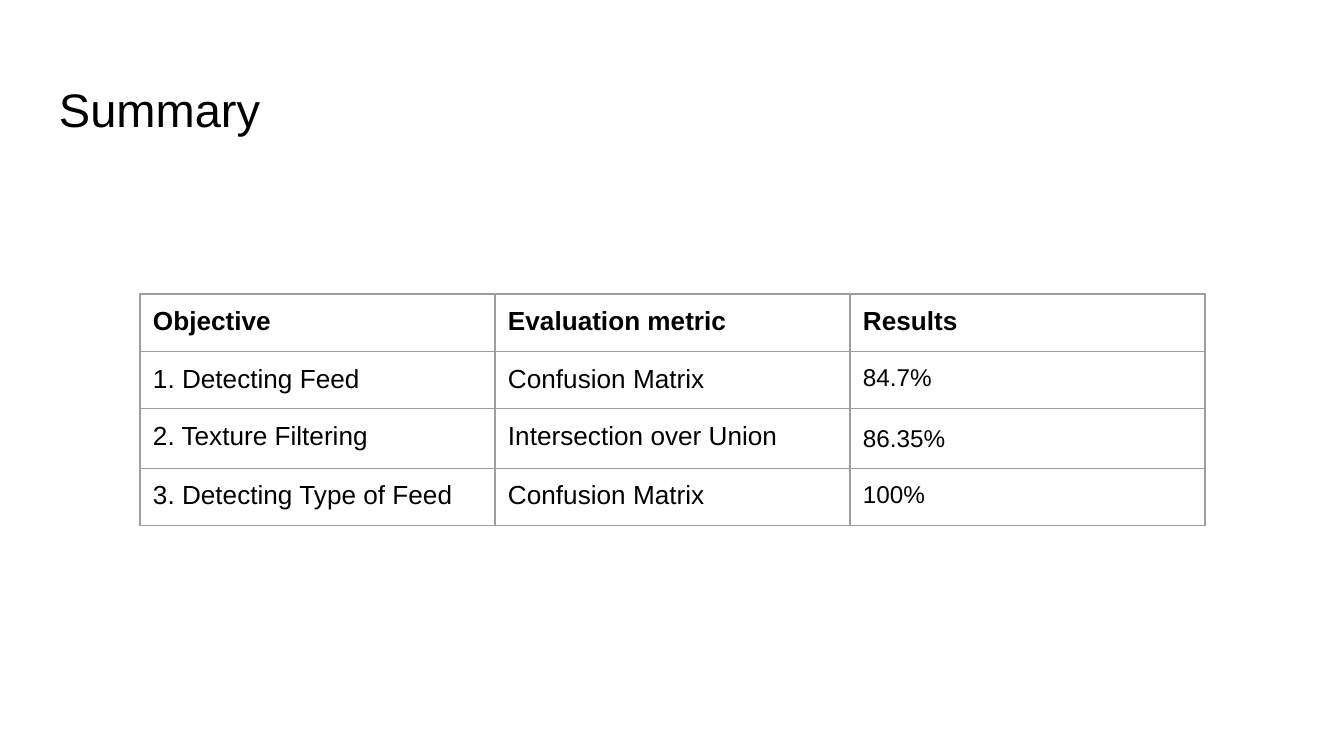
import pptx
import pptx.dml.color
import pptx.enum.text
import pptx.oxml
import pptx.oxml.ns
import pptx.util

EMU_PER_PX = 914400 / 134.4
COLORS = {"background": "FFFFFF", "text": "000000", "border": "9E9E9E"}
PADDING = 13


def px(length):
    return pptx.util.Emu(round(length * EMU_PER_PX))


def style_font(font, size, bold=False):
    font.name = "Arial"
    font.size = pptx.util.Pt(size)
    font.bold = bold
    font.color.rgb = pptx.dml.color.RGBColor.from_string(COLORS["text"])


presentation = pptx.Presentation()
presentation.slide_width = px(1344)
presentation.slide_height = px(756)
slide = presentation.slides.add_slide(presentation.slide_layouts[6])
slide.background.fill.solid()
slide.background.fill.fore_color.rgb = pptx.dml.color.RGBColor.from_string(COLORS["background"])

# Title
title = slide.shapes.add_textbox(px(46), px(66), px(1253), px(85))
frame = title.text_frame
frame.word_wrap = True
frame.vertical_anchor = pptx.enum.text.MSO_ANCHOR.MIDDLE
frame.margin_left = frame.margin_right = px(PADDING)
frame.margin_top = frame.margin_bottom = px(PADDING)
frame.text = "Summary"
style_font(frame.paragraphs[0].font, 25.2)

# Results table
rows = [
    ("Objective", "Evaluation metric", "Results"),
    ("1. Detecting Feed", "Confusion Matrix", "84.7%"),
    ("2. Texture Filtering", "Intersection over Union", "86.35%"),
    ("3. Detecting Type of Feed", "Confusion Matrix", "100%"),
]
row_heights = [56, 56, 58, 56]
table = slide.shapes.add_table(
    len(rows), 3, px(140), px(294), px(3 * 355), px(sum(row_heights))
).table
table.first_row = False
table.horz_banding = False
for column in table.columns:
    column.width = px(355)

for row_index, row in enumerate(rows):
    table.rows[row_index].height = px(row_heights[row_index])
    for column_index, text in enumerate(row):
        cell = table.cell(row_index, column_index)
        cell.margin_left = cell.margin_right = px(PADDING)
        cell.margin_top = cell.margin_bottom = px(PADDING)
        cell.text = text
        is_header = row_index == 0
        is_result = column_index == 2 and not is_header
        style_font(cell.text_frame.paragraphs[0].font, 13 if is_result else 14, is_header)

        # Cell borders come before the fill in the cell properties
        for side in ("lnL", "lnR", "lnT", "lnB"):
            cell._tc.get_or_add_tcPr().append(pptx.oxml.parse_xml(
                f'<a:{side} {pptx.oxml.ns.nsdecls("a")} w="{pptx.util.Pt(0.75)}">'
                f'<a:solidFill><a:srgbClr val="{COLORS["border"]}"/></a:solidFill></a:{side}>'
            ))
        cell.fill.background()

# Looser spacing on the texture filtering result
paragraph = table.cell(2, 2).text_frame.paragraphs[0]
paragraph.line_spacing = 1.15
paragraph.space_after = pptx.util.Pt(12)

presentation.save("out.pptx")
